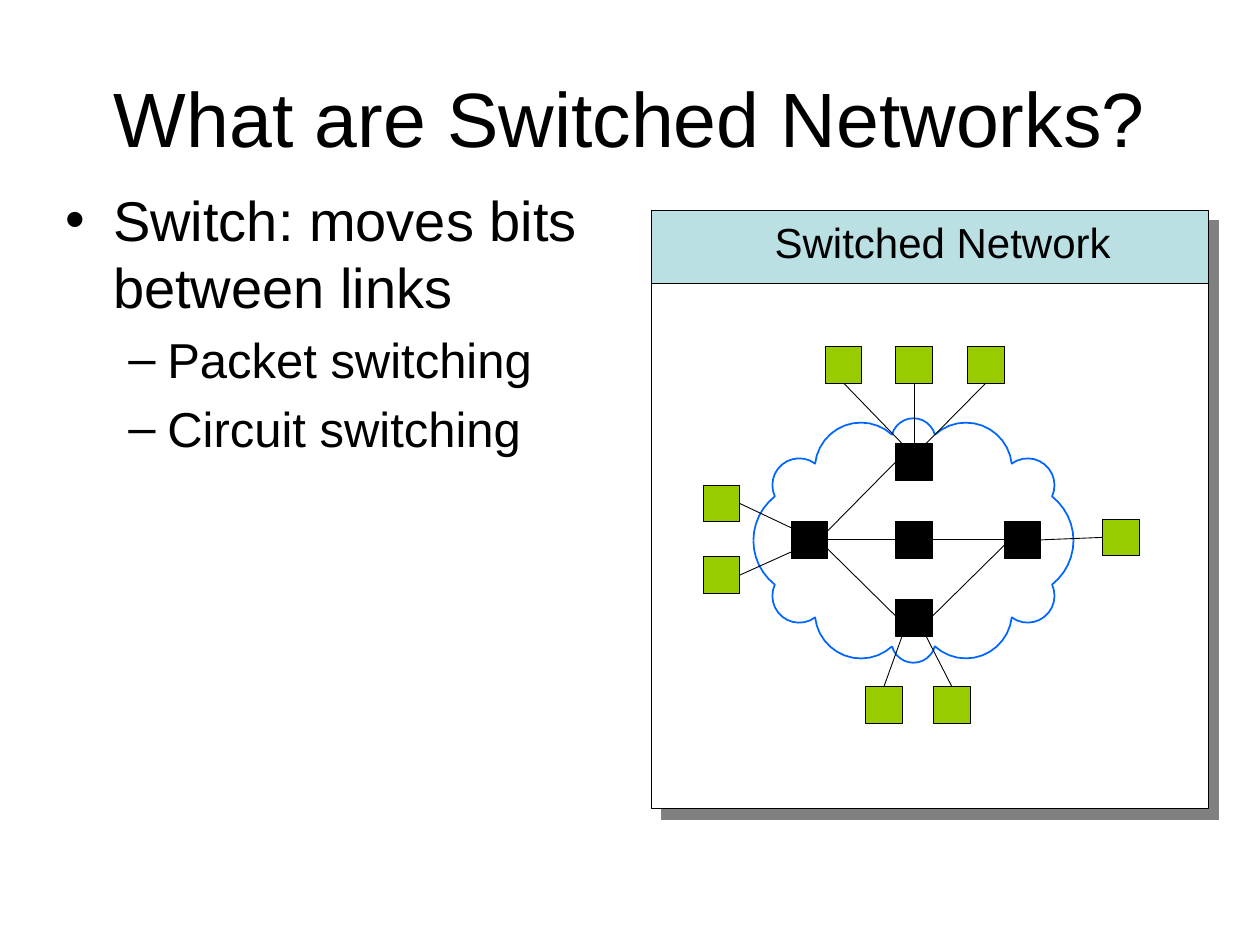
from dataclasses import dataclass
from math import atan, cos, dist, sin

from lxml.etree import SubElement
from pptx import Presentation
from pptx.dml.color import RGBColor
from pptx.enum.shapes import MSO_CONNECTOR, MSO_SHAPE
from pptx.enum.text import MSO_ANCHOR, PP_ALIGN
from pptx.oxml.ns import qn
from pptx.util import Inches, Pt


@dataclass(frozen=True)
class Theme:
    font: str = "Arial"
    black: str = "000000"
    white: str = "FFFFFF"
    header: str = "BBE0E3"
    shadow: str = "808080"
    cloud: str = "0066FF"
    host: str = "99CC00"
    title_size: float = 44
    body_size: float = 32
    sub_size: float = 28
    label_size: float = 24
    panel_line: float = 0.75
    cloud_line: float = 1
    thin_line: float = 0.5


# Network: top-left corners of the square nodes, in inches
NODE = 0.29
LEFT_X, MIDDLE_X, RIGHT_X = 6.28, 7.11, 7.97
TOP_Y, MIDDLE_Y, BOTTOM_Y = (3.52 + 0.62 * row for row in range(3))
SWITCHES = {
    "top": (MIDDLE_X, TOP_Y),
    "left": (LEFT_X, MIDDLE_Y),
    "middle": (MIDDLE_X, MIDDLE_Y),
    "right": (RIGHT_X, MIDDLE_Y),
    "bottom": (MIDDLE_X, BOTTOM_Y),
}
HOSTS = {  # hosts listed under the switch that serves them
    "top": [(6.55, 2.75), (7.11, 2.75), (7.68, 2.75)],
    "left": [(5.58, 3.85), (5.58, 4.42)],
    "right": [(8.75, 4.12)],
    "bottom": [(6.87, 5.45), (7.41, 5.45)],
}
# Ports are places on a node, as fractions of its width and height
TRUNKS = [
    ("top", (0, 0.5), "left", (1, 0.25)),
    ("left", (1, 0.5), "middle", (0, 0.5)),
    ("middle", (1, 0.5), "right", (0, 0.5)),
    ("right", (0, 0.65), "bottom", (1, 0.45)),
    ("left", (1, 0.75), "bottom", (0, 0.45)),
]
PORT_SPREADS = {1: [0.5], 2: [0.17, 0.83], 3: [0.17, 0.5, 0.83]}

# Cloud: cusps of one quarter as offsets from the centre, and bump heights
CLOUD_CENTRE = (7.25, 4.29)
QUARTER_CUSPS = [(0.17, 0.84), (0.78, 0.61), (1.1, 0.35)]
BIG, SMALL, SIDE, CAP = 0.2, 0.16, 0.17, 0.13
BUMP_HEIGHTS = [BIG, SMALL, SIDE, SMALL, BIG, CAP] * 2
BUMP_STEPS = 12
CURVE_BUMPS = [2.5, 3.5, 2.5, 3.5]


def port(corner, fractions):
    return tuple(c + f * NODE for c, f in zip(corner, fractions))


def side_port(side, along):
    return {"top": (along, 0), "bottom": (along, 1),
            "left": (0, along), "right": (1, along)}[side]


def host_links():
    """Join each host's facing side to a port spread along its switch."""
    opposite = {"top": "bottom", "bottom": "top", "left": "right", "right": "left"}
    for side, hosts in HOSTS.items():
        for host, along in zip(hosts, PORT_SPREADS[len(hosts)]):
            yield (port(host, side_port(opposite[side], 0.5)),
                   port(SWITCHES[side], side_port(side, along)))


def cloud_cusps():
    """Mirror the quarter into a clockwise ring that starts at the top right."""
    cx, cy = CLOUD_CENTRE
    ring = []
    for sx, sy in [(1, -1), (1, 1), (-1, 1), (-1, -1)]:
        quarter = QUARTER_CUSPS if sx * sy < 0 else QUARTER_CUSPS[::-1]
        ring += [(cx + sx * x, cy + sy * y) for x, y in quarter]
    return ring


def bump(start, end, height):
    """Points of a circular arc that rises by height to the left of its chord."""
    chord = dist(start, end)
    ux, uy = ((b - a) / chord for a, b in zip(start, end))
    half = 2 * atan(2 * height / chord)
    radius = chord / 2 / sin(half)
    for step in range(BUMP_STEPS):
        angle = half * (2 * step / BUMP_STEPS - 1)
        along = chord / 2 + radius * sin(angle)
        out = radius * (cos(angle) - cos(half))
        yield start[0] + along * ux + out * uy, start[1] + along * uy - out * ux


def cloud_curves():
    """Cut the ring of bumps into open curves that meet end to end."""
    cusps = cloud_cusps()
    points = [pt for a, b, height in zip(cusps, cusps[1:] + cusps[:1], BUMP_HEIGHTS)
              for pt in bump(a, b, height)]
    points.append(points[0])
    first = 0
    for bumps in CURVE_BUMPS:
        last = first + int(bumps * BUMP_STEPS)
        yield points[first:last + 1]
        first = last


def rgb(color):
    return RGBColor.from_string(color)


class SlideBuilder:
    def __init__(self, slide, theme):
        self.s = slide
        self.theme = theme

    def rect(self, x, y, w, h, fill, line_width):
        sp = self.s.shapes.add_shape(
            MSO_SHAPE.RECTANGLE, Inches(x), Inches(y), Inches(w), Inches(h))
        sp.shadow.inherit = False
        sp.fill.solid()
        sp.fill.fore_color.rgb = rgb(fill)
        sp.line.color.rgb = rgb(self.theme.black)
        sp.line.width = Pt(line_width)
        return sp

    def panel(self, x, y, w, h, fill):
        """Rectangle with a hard shadow to the lower right."""
        sp = self.rect(x, y, w, h, fill, self.theme.panel_line)
        effects = sp._element.spPr.find(qn("a:effectLst"))
        shadow = SubElement(effects, qn("a:outerShdw"), dist=str(Pt(8.5)),
                            dir=str(45 * 60000), algn="ctr", rotWithShape="0")
        SubElement(shadow, qn("a:srgbClr"), val=self.theme.shadow)

    def node(self, corner, fill):
        self.rect(*corner, NODE, NODE, fill, self.theme.thin_line)

    def link(self, start, end):
        line = self.s.shapes.add_connector(
            MSO_CONNECTOR.STRAIGHT, *(Inches(v) for v in (*start, *end)))
        line.line.color.rgb = rgb(self.theme.black)
        line.line.width = Pt(self.theme.thin_line)
        SubElement(line._element.spPr, qn("a:effectLst"))

    def outline(self, curves):
        """Group of open, unfilled curves."""
        group = self.s.shapes.add_group_shape()
        for curve in curves:
            start, *rest = [(Inches(x), Inches(y)) for x, y in curve]
            builder = group.shapes.build_freeform(*start)
            builder.add_line_segments(rest, close=False)
            sp = builder.convert_to_shape()
            sp.shadow.inherit = False
            sp.fill.background()
            sp.line.color.rgb = rgb(self.theme.cloud)
            sp.line.width = Pt(self.theme.cloud_line)

    def text(self, x, y, w, h, paragraphs, anchor=MSO_ANCHOR.TOP, wrap=True):
        sp = self.s.shapes.add_textbox(Inches(x), Inches(y), Inches(w), Inches(h))
        tf = sp.text_frame
        tf.word_wrap = wrap
        tf.vertical_anchor = anchor
        for i, (text, style) in enumerate(paragraphs):
            p = tf.add_paragraph() if i else tf.paragraphs[0]
            write(p, text, self.theme, **style)


def write(p, text, theme, size, align=PP_ALIGN.LEFT, bullet=None,
          margin=0, hang=0, level=0, before=0):
    """Fill a paragraph; margin and hang are the bullet indents in inches."""
    p.level, p.alignment, p.space_before = level, align, Pt(before)
    if bullet:
        pPr = p._p.get_or_add_pPr()
        pPr.set("marL", str(Inches(margin)))
        pPr.set("indent", str(-Inches(hang)))
        SubElement(pPr, qn("a:buFont"), typeface=theme.font)
        SubElement(pPr, qn("a:buChar"), char=bullet)
    r = p.add_run()
    r.text = text
    r.font.name, r.font.size = theme.font, Pt(size)
    r.font.color.rgb = rgb(theme.black)


def main():
    prs = Presentation()
    prs.slide_width, prs.slide_height = Inches(10), Inches(7.5)
    theme = Theme()
    b = SlideBuilder(prs.slides.add_slide(prs.slide_layouts[6]), theme)

    for y, fill in [(1.67, theme.header), (2.25, theme.white)]:
        b.panel(5.17, y, 4.42, 4.17, fill)
    b.text(6.05, 1.67, 2.87, 0.5,
           [("Switched Network", dict(size=theme.label_size))], wrap=False)
    title = dict(size=theme.title_size, align=PP_ALIGN.CENTER)
    b.text(0.5, 0.3, 9, 1.25, [("What are Switched Networks?", title)],
           anchor=MSO_ANCHOR.MIDDLE)

    b.outline(cloud_curves())
    for a, a_port, z, z_port in TRUNKS:
        b.link(port(SWITCHES[a], a_port), port(SWITCHES[z], z_port))
    for ends in host_links():
        b.link(*ends)
    for corner in SWITCHES.values():
        b.node(corner, theme.black)
    for hosts in HOSTS.values():
        for corner in hosts:
            b.node(corner, theme.host)

    main_point = dict(size=theme.body_size, bullet="•", margin=0.38, hang=0.38)
    sub = dict(size=theme.sub_size, bullet="–", margin=0.81, hang=0.31, level=1, before=5.6)
    b.text(0.42, 1.42, 4.58, 5.33, [("Switch: moves bits between links", main_point),
                                    ("Packet switching", sub), ("Circuit switching", sub)])
    prs.save("out.pptx")


if __name__ == "__main__":
    main()
